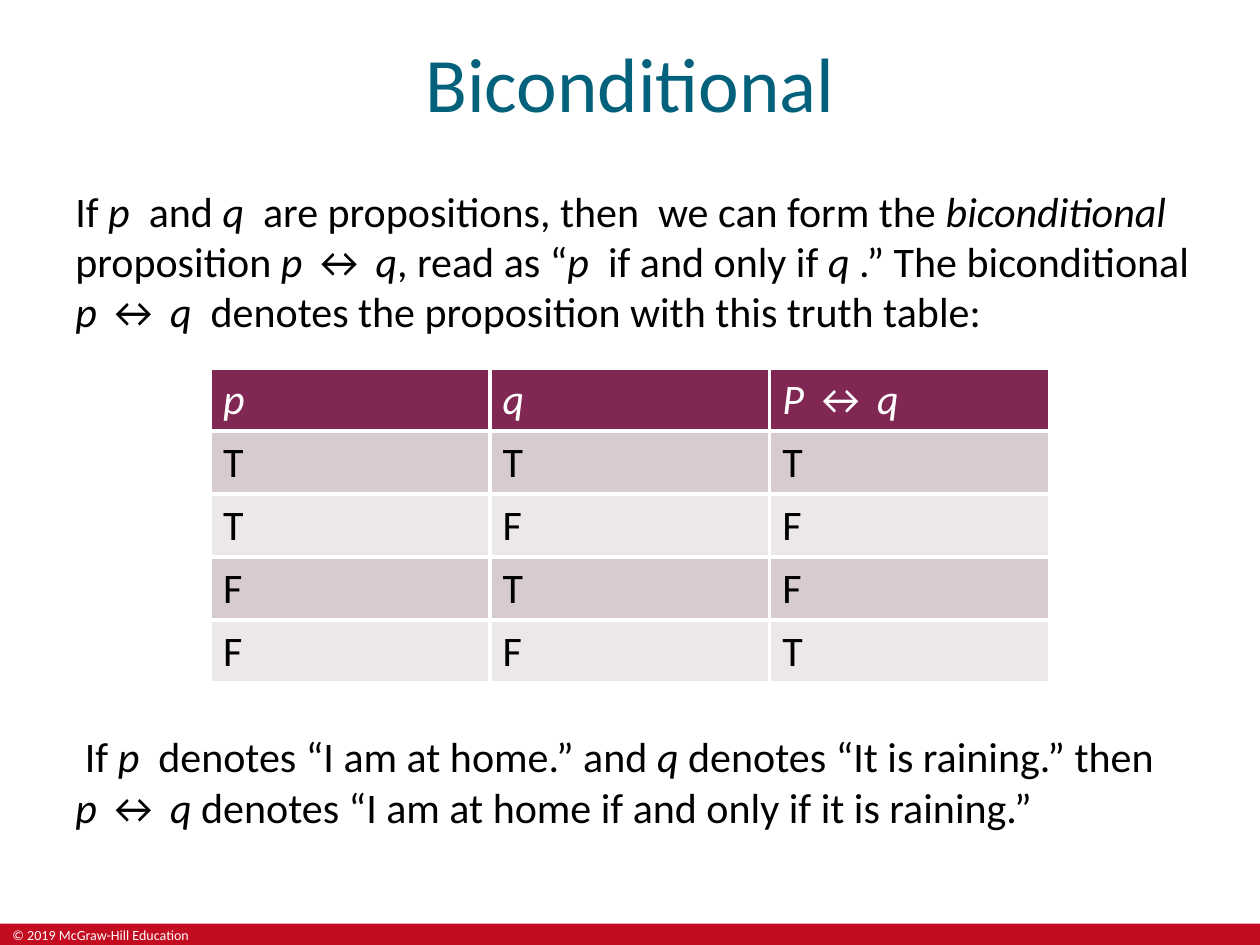
"""Builds the Biconditional slide with its truth table."""
from lxml import etree
from pptx import Presentation
from pptx.dml.color import RGBColor
from pptx.enum import shapes, text
from pptx.oxml import ns
from pptx.util import Inches, Pt

FONT = "Calibri"
TEAL = RGBColor(0x04, 0x61, 0x7B)
RED = RGBColor(0xC3, 0x0C, 0x20)
PLUM = RGBColor(0x80, 0x27, 0x54)
BANDS = [RGBColor(0xD7, 0xCB, 0xCF), RGBColor(0xEC, 0xE7, 0xE9)]
WHITE = RGBColor(0xFF, 0xFF, 0xFF)
BLACK = RGBColor(0, 0, 0)

TITLE = "Biconditional"
FOOTER = "© 2019 McGraw-Hill Education"
ITALIC_MARK = "*"
BODIES = [
    ((0.5, 1.42, 9.2, 1.3),
     "If *p*  and *q*  are propositions, then  we can form the *biconditional *"
     "proposition *p *↔ *q*, read as “*p*  if and only if *q* .” The biconditional "
     "*p *↔ *q*  denotes the proposition with this truth table:"),
    ((0.5, 5.75, 8.9, 0.9),
     " If *p*  denotes “I am at home.” and *q* denotes “It is raining.” then "
     "*p *↔ *q* denotes “I am at home if and only if it is raining.”"),
]
TRUTH_TABLE = [
    ["*p*", "*q*", "*P *↔ *q*"],
    ["T", "T", "T"],
    ["T", "F", "F"],
    ["F", "T", "F"],
    ["F", "F", "T"],
]
TABLE_LEFT, TABLE_TOP, COL_W, ROW_H = 1.67, 2.92, 2.22, 0.5


def inches(box):
    return [Inches(v) for v in box]


def write(tf, marked, size, color):
    p = tf.paragraphs[0]
    p.font.size, p.font.name = Pt(size), FONT
    p.font.color.rgb = color
    for i, part in enumerate(marked.split(ITALIC_MARK)):
        if part:
            r = p.add_run()
            r.text = part
            if i % 2:
                r.font.italic = True
    return p


def add_text(s, box, marked, size, color):
    tf = s.shapes.add_textbox(*inches(box)).text_frame
    tf.word_wrap = True
    return write(tf, marked, size, color)


def add_borders(cell):
    tc_pr = cell._tc.get_or_add_tcPr()
    for i, side in enumerate(("lnL", "lnR", "lnT", "lnB")):
        ln = etree.Element(ns.qn(f"a:{side}"), w=str(Pt(2.25)))
        fill = etree.SubElement(ln, ns.qn("a:solidFill"))
        etree.SubElement(fill, ns.qn("a:srgbClr"), val=str(WHITE))
        tc_pr.insert(i, ln)


def add_truth_table(s):
    rows, cols = len(TRUTH_TABLE), len(TRUTH_TABLE[0])
    box = (TABLE_LEFT, TABLE_TOP, COL_W * cols, ROW_H * rows)
    table = s.shapes.add_table(rows, cols, *inches(box)).table
    for i, values in enumerate(TRUTH_TABLE):
        for j, value in enumerate(values):
            cell = table.cell(i, j)
            cell.fill.solid()
            cell.fill.fore_color.rgb = BANDS[(i - 1) % 2] if i else PLUM
            add_borders(cell)
            p = write(cell.text_frame, value, 24, BLACK if i else WHITE)
            p.font.bold = False


def main():
    prs = Presentation()
    prs.slide_width, prs.slide_height = Inches(10), Inches(7.5)
    s = prs.slides.add_slide(prs.slide_layouts[5])

    bar = s.shapes.add_shape(shapes.MSO_SHAPE.RECTANGLE, *inches((0, 7.33, 10, 0.17)))
    bar.shadow.inherit = False
    bar.fill.solid()
    bar.fill.fore_color.rgb = RED
    bar.line.fill.background()
    add_text(s, (0, 7.33, 1.7, 0.17), FOOTER, 8, WHITE).line_spacing = 0.8

    title = s.shapes.title
    title.left, title.top, title.width, title.height = inches((0, 0, 10, 1.3))
    title.text_frame.vertical_anchor = text.MSO_ANCHOR.MIDDLE
    write(title.text_frame, TITLE, 44, TEAL).alignment = text.PP_ALIGN.CENTER

    for box, marked in BODIES:
        add_text(s, box, marked, 24, BLACK)
    add_truth_table(s)
    prs.save("out.pptx")


if __name__ == "__main__":
    main()
